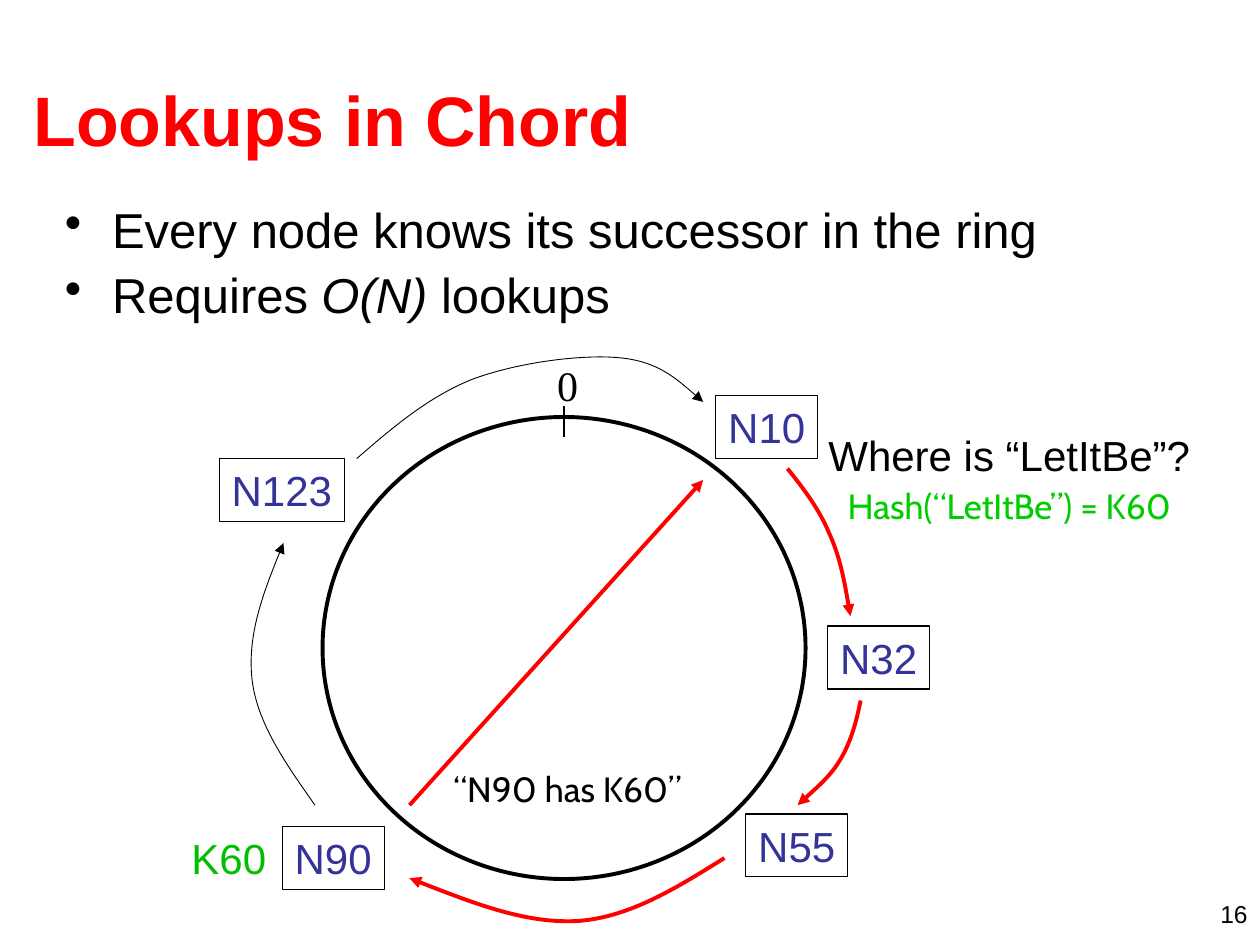
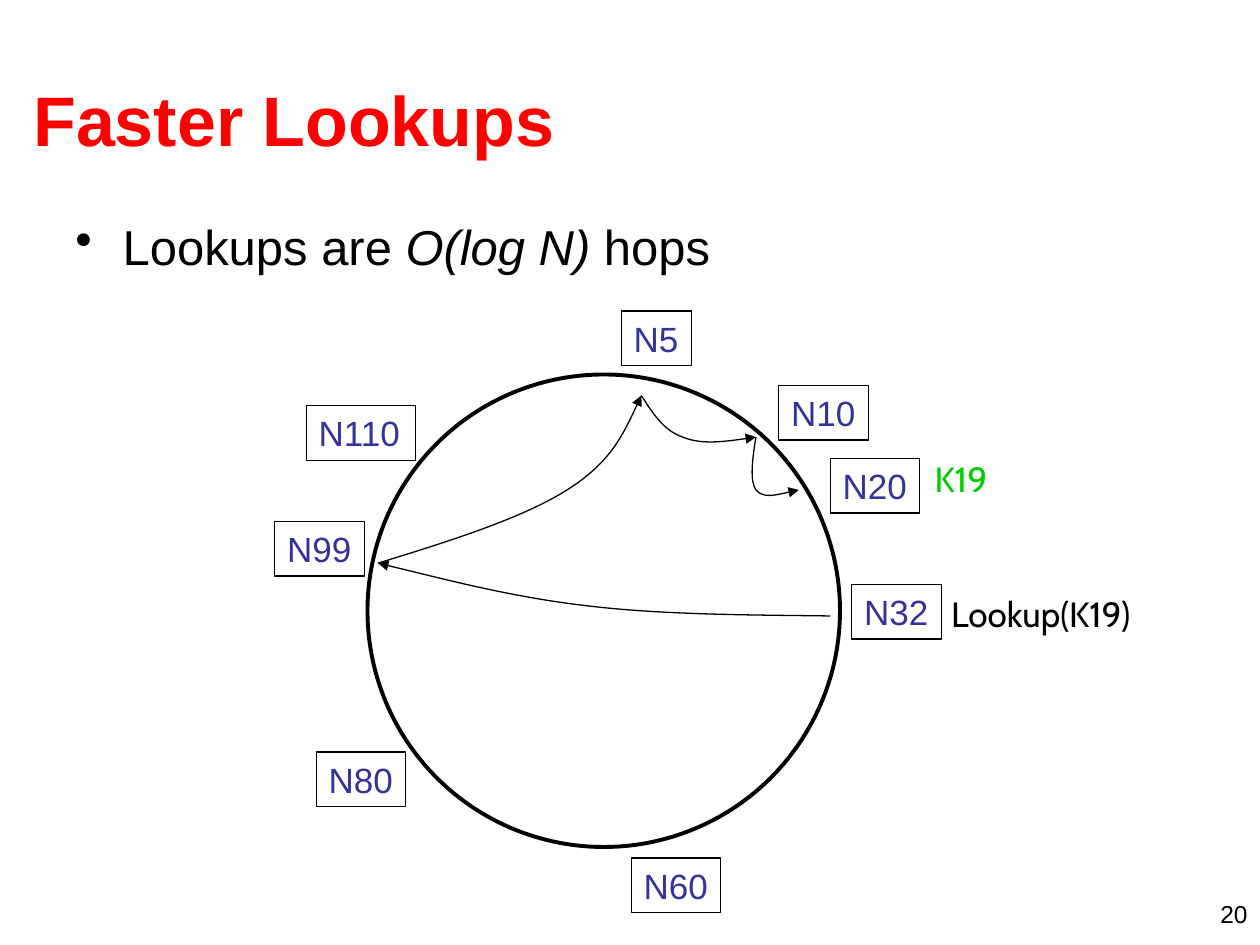
from pptx import Presentation
from pptx import util as u
from pptx.dml.color import RGBColor
from pptx.enum import shapes, text
from pptx.oxml.ns import qn
from lxml import etree

BLACK, RED, NODE_BLUE = "000000", "FF0000", "333399"
KEY_GREEN, HASH_GREEN = "00BE00", "00CC00"
SANS, SERIF, LABEL = "Arial", "Times New Roman", "Cabin"
LEFT, CENTER, RIGHT = text.PP_ALIGN.LEFT, text.PP_ALIGN.CENTER, text.PP_ALIGN.RIGHT
TITLE_BOX = (12, 23, 690, 90)
NUMBER_BOX = (552, 510, 168, 18)


def color(hex_code):
    return RGBColor.from_string(hex_code)


def style_font(r, size, hex_code, font=SANS, bold=False, italic=False):
    f = r.font
    f.size, f.name, f.bold, f.italic = u.Pt(size), font, bold, italic
    f.color.rgb = color(hex_code)


def style_line(sp, hex_code, width, arrow=False):
    sp.line.color.rgb = color(hex_code)
    sp.line.width = u.Pt(width)
    if arrow:
        ln = sp._element.spPr.find(qn("a:ln"))
        etree.SubElement(ln, qn("a:tailEnd"), type="triangle")


def outline_shape(slide, kind, box, width):
    sp = slide.shapes.add_shape(kind, *map(u.Pt, box))
    sp.shadow.inherit = False
    sp.fill.background()
    style_line(sp, BLACK, width)
    return sp


def write(sp, words, size, hex_code, font=SANS, align=LEFT, middle=False,
          wrap=False, bold=False, grow=True):
    tf = sp.text_frame
    tf.word_wrap = wrap
    tf.vertical_anchor = text.MSO_ANCHOR.MIDDLE if middle else text.MSO_ANCHOR.TOP
    if grow:
        tf.auto_size = text.MSO_AUTO_SIZE.SHAPE_TO_FIT_TEXT
    p = tf.paragraphs[0]
    p.text = words
    p.alignment = align
    style_font(p.runs[0], size, hex_code, font, bold)


def add_text(slide, box, *args, **options):
    sp = slide.shapes.add_textbox(*map(u.Pt, box))
    write(sp, *args, **options)


def add_bullets(slide, box, lines, spacing):
    """Each line is (plain, italic, plain)."""
    tf = slide.shapes.add_textbox(*map(u.Pt, box)).text_frame
    tf.word_wrap = True
    for i, pieces in enumerate(lines):
        p = tf.add_paragraph() if i else tf.paragraphs[0]
        p.line_spacing, p.space_before = spacing, u.Pt(7)
        pPr = p._p.get_or_add_pPr()
        pPr.set("marL", str(u.Pt(27)))
        pPr.set("indent", str(u.Pt(-27)))
        etree.SubElement(pPr, qn("a:buChar"), char="•")
        for k, piece in enumerate(pieces):
            r = p.add_run()
            r.text = piece
            style_font(r, 28, BLACK, italic=k == 1)


def add_curve(slide, points, hex_code, width):
    """Arrow along cubic curves: a start, then two controls and an end per curve."""
    start, *rest = [(u.Pt(x), u.Pt(y)) for x, y in points]
    builder = slide.shapes.build_freeform(*start)
    builder.add_line_segments(rest, close=False)
    sp = builder.convert_to_shape()
    sp.shadow.inherit = False
    sp.fill.background()
    style_line(sp, hex_code, width, arrow=True)
    outline = next(sp._element.iter(qn("a:path")))
    segments = outline.findall(qn("a:lnTo"))
    for i in range(0, len(segments), 3):
        curve = etree.SubElement(outline, qn("a:cubicBezTo"))
        for segment in segments[i:i + 3]:
            curve.append(segment[0])
            outline.remove(segment)


def add_straight(slide, start, end, hex_code, width, arrow=False):
    ends = map(u.Pt, (*start, *end))
    c = slide.shapes.add_connector(shapes.MSO_CONNECTOR.STRAIGHT, *ends)
    style_line(c, hex_code, width, arrow)
    etree.SubElement(c._element.spPr, qn("a:effectLst"))


def add_ring(slide, box, nodes, size):
    """Ring filling the box; node name -> (left, top, width) from its corner."""
    outline_shape(slide, shapes.MSO_SHAPE.OVAL, box, 2.25)
    height = size * 1.2 + 7.2
    for name, (x, y, w) in nodes.items():
        place = (box[0] + x, box[1] + y, w, height)
        sp = outline_shape(slide, shapes.MSO_SHAPE.RECTANGLE, place, 0.75)
        write(sp, name, size, NODE_BLUE)


def from_corner(box, points):
    return [(box[0] + x, box[1] + y) for x, y in points]


def add_frame(prs, title, number):
    slide = prs.slides.add_slide(prs.slide_layouts[6])
    add_text(slide, TITLE_BOX, title, 40, RED, middle=True, wrap=True, bold=True, grow=False)
    add_text(slide, NUMBER_BOX, number, 14, BLACK, align=RIGHT, wrap=True, grow=False)
    return slide


def add_successor_ring(slide, box):
    x, y = box[:2]
    add_ring(slide, box, {
        "N32": (288.7, 119.5, 58.3), "N90": (-23, 234, 58.3),
        "N123": (-59, 23.8, 71.6), "N10": (224.7, -12.2, 58.3),
        "N55": (241.9, 226.8, 58.3)}, 24)

    middle = box[2] / 2
    add_straight(slide, (x + middle, y - 6.5), (x + middle, y + 11.5), BLACK, 0.75)
    add_text(slide, (x + middle - 11, y - 36.7, 26, 36), "0", 24, BLACK, SERIF, CENTER, True)
    add_text(slide, (x + 286, y + 34.6, 213, 31.7), "Hash(“LetItBe”) = K60",
             20, HASH_GREEN, LABEL, CENTER, True)
    add_text(slide, (x + 278.7, y + 3.6, 227.5, 36), "Where is “LetItBe”? ",
             24, BLACK, align=CENTER, middle=True, wrap=True)
    add_text(slide, (x + 67.7, y + 196.6, 145.4, 31.7), "“N90 has K60”", 20, BLACK, LABEL)
    add_text(slide, (x - 82, y + 234, 57, 36), "K60", 24, KEY_GREEN)

    lookup_hops = [
        [(265.7, 29.5), (275, 41), (283.7, 52.6), (289.5, 66.3),
         (296, 80.7), (298.8, 97), (301.7, 113.8)],
        [(307.5, 162), (305.3, 173), (302.4, 184.3), (296.7, 194.4),
         (291, 204.5), (281, 213), (271.5, 221.8)],
        [(229.7, 252), (203, 268.6), (175.7, 286), (145.5, 288),
         (116, 289.5), (82.8, 276.5), (49.7, 263.5)]]
    other_successors = [
        [(-4.3, 221.8), (-21, 198), (-37.4, 175), (-40.3, 149.8),
         (-43, 124.6), (-33, 98), (-22.3, 72)],
        [(19.5, 23.8), (40.3, 5.8), (60.5, -11.5), (85.7, -21.6),
         (111, -31), (147.6, -36), (170, -33.8),
         (191.5, -31.7), (204.5, -20), (217.5, -8.6)]]
    for points in lookup_hops:
        add_curve(slide, from_corner(box, points), RED, 2.25)
    for points in other_successors:
        add_curve(slide, from_corner(box, points), BLACK, 0.5)
    reply = from_corner(box, [(49.7, 221.8), (217.5, 36)])
    add_straight(slide, *reply, RED, 2.25, arrow=True)


def add_finger_ring(slide, box):
    x, y = box[:2]
    add_ring(slide, box, {
        "N32": (276.7, 120, 51.2), "N10": (235, 6.3, 51.2),
        "N5": (145, -36.2, 40), "N20": (264.5, 48, 51.2),
        "N110": (-35, 17.8, 62.3), "N99": (-53, 84, 51.2),
        "N80": (-29.3, 215.8, 51.2), "N60": (150.7, 276.3, 51.2)}, 20)

    at_n32, at_n99, at_n5 = (264.5, 138), (6, 107.8), (156.5, 12)
    at_n10, at_n20 = (222, 35.8), (246.5, 66)
    hops = [
        [at_n32, (217, 137.4), (169.4, 137.4), (126.2, 132.3),
         (83, 127.3), (45, 117.2), at_n99],
        [at_n99, (47.8, 95), (88.8, 82), (114, 66), (139.2, 50.2), (147.8, 30.8), at_n5],
        [at_n5, (163, 22.2), (169.4, 32.2), (180.2, 35.8), (191, 40.2), (207, 38), at_n10],
        [at_n10, (219.8, 48.8), (218.4, 61), (222, 66), (226.3, 71), (236.4, 68.2), at_n20]]
    for points in hops:
        add_curve(slide, from_corner(box, points), BLACK, 0.75)
    add_text(slide, (x + 326.4, y + 120.8, 131.8, 31.7), "Lookup(K19)", 20, BLACK, LABEL)
    add_text(slide, (x + 317, y + 43.8, 49.7, 31.7), "K19", 20, HASH_GREEN, LABEL)


def main():
    prs = Presentation()
    prs.slide_width, prs.slide_height = u.Pt(720), u.Pt(540)

    slide = add_frame(prs, "Lookups in Chord", "16")
    add_bullets(slide, (30, 114, 648, 78), [
        ("Every node knows its successor in the ring",),
        ("Requires ", "O(N)", " lookups")], 0.9)
    add_successor_ring(slide, (184.3, 238.3, 276, 264))

    slide = add_frame(prs, "Faster Lookups", "20")
    add_bullets(slide, (36, 120, 648, 48), [("Lookups are ", "O(log N)", " hops")], 1.0)
    add_finger_ring(slide, (210, 214, 270, 270))

    prs.save("out.pptx")


if __name__ == "__main__":
    main()
